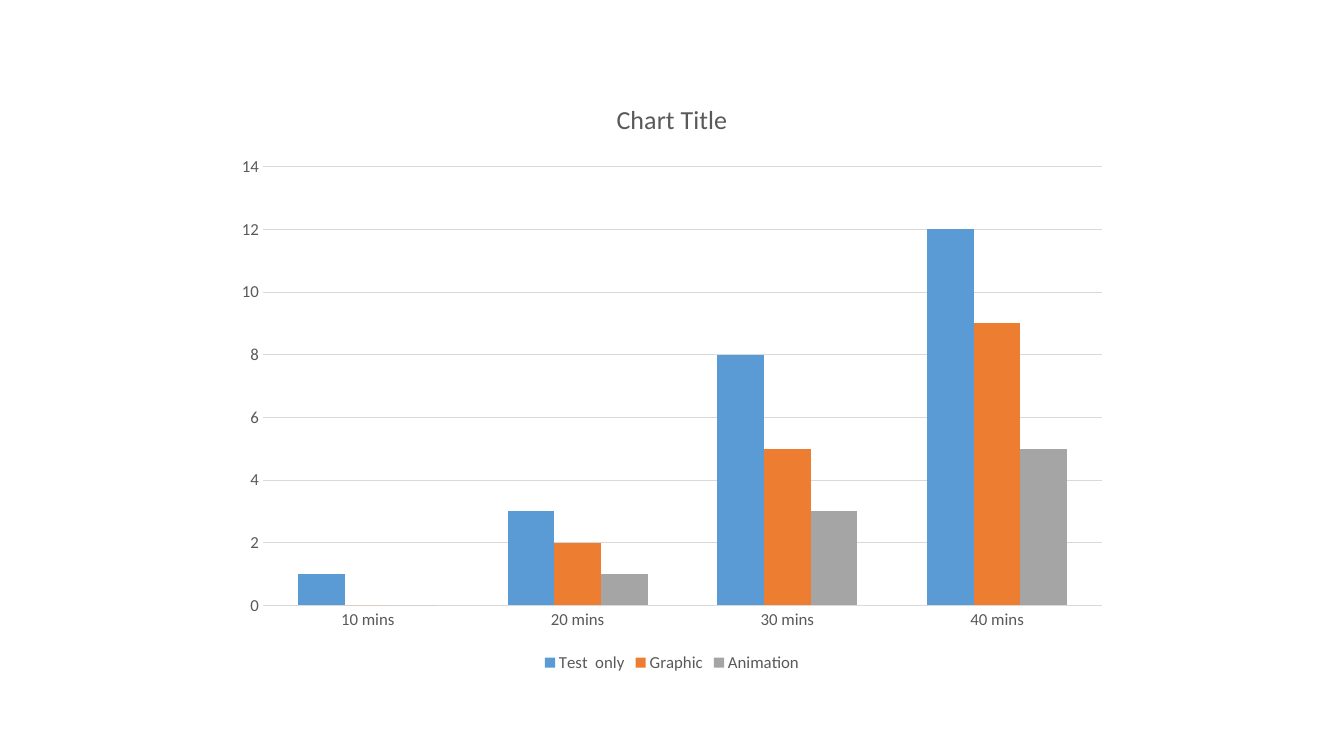
"""Build a slide with a clustered column chart of three media over time."""
from pptx import Presentation
from pptx.chart.data import CategoryChartData
from pptx.dml.color import RGBColor
from pptx.enum.chart import XL_CHART_TYPE as ChartType
from pptx.enum.chart import XL_LEGEND_POSITION as LegendPosition
from pptx.enum.chart import XL_TICK_MARK as TickMark
from pptx.util import Inches, Pt

COLORS = {
    "text": "595959",
    "grid": "D9D9D9",
    "Test  only": "5B9BD5",
    "Graphic": "ED7D31",
    "Animation": "A5A5A5",
}
VALUES = {
    "Test  only": (1, 3, 8, 12),
    "Graphic": (0, 2, 5, 9),
    "Animation": (0, 1, 3, 5),
}


def set_font(font, size):
    font.name = "Calibri"
    font.size = Pt(size)
    font.bold = False
    font.color.rgb = RGBColor.from_string(COLORS["text"])


presentation = Presentation()
presentation.slide_width = width = Inches(13.33)
presentation.slide_height = height = Inches(7.5)
slide = presentation.slides.add_slide(presentation.slide_layouts[6])

chart_data = CategoryChartData()
chart_data.categories = [f"{minutes} mins" for minutes in (10, 20, 30, 40)]
for name, values in VALUES.items():
    chart_data.add_series(name, values)

chart_width, chart_height = int(width * 2 / 3), int(height * 0.79)
chart = slide.shapes.add_chart(
    ChartType.COLUMN_CLUSTERED,
    (width - chart_width) // 2,
    (height - chart_height) // 2,
    chart_width,
    chart_height,
    chart_data,
).chart
set_font(chart.font, 12)

chart.has_title = True
chart.chart_title.include_in_layout = False
title = chart.chart_title.text_frame
title.text = "Chart Title"
set_font(title.paragraphs[0].font, 18.6)

chart.has_legend = True
chart.legend.position = LegendPosition.BOTTOM
chart.legend.include_in_layout = False
set_font(chart.legend.font, 12)

for axis in (chart.category_axis, chart.value_axis):
    axis.major_tick_mark = TickMark.NONE
    axis.minor_tick_mark = TickMark.NONE
    axis.format.line.fill.background()
    set_font(axis.tick_labels.font, 12)

value_axis = chart.value_axis
value_axis.minimum_scale = 0
value_axis.maximum_scale = 14
value_axis.major_unit = 2
gridline = value_axis.major_gridlines.format.line
gridline.width = Pt(0.75)
gridline.color.rgb = RGBColor.from_string(COLORS["grid"])

plot = chart.plots[0]
plot.gap_width = 150
plot.overlap = 0
plot.vary_by_categories = False
for series in plot.series:
    series.format.fill.solid()
    series.format.fill.fore_color.rgb = RGBColor.from_string(COLORS[series.name])

presentation.save("out.pptx")
